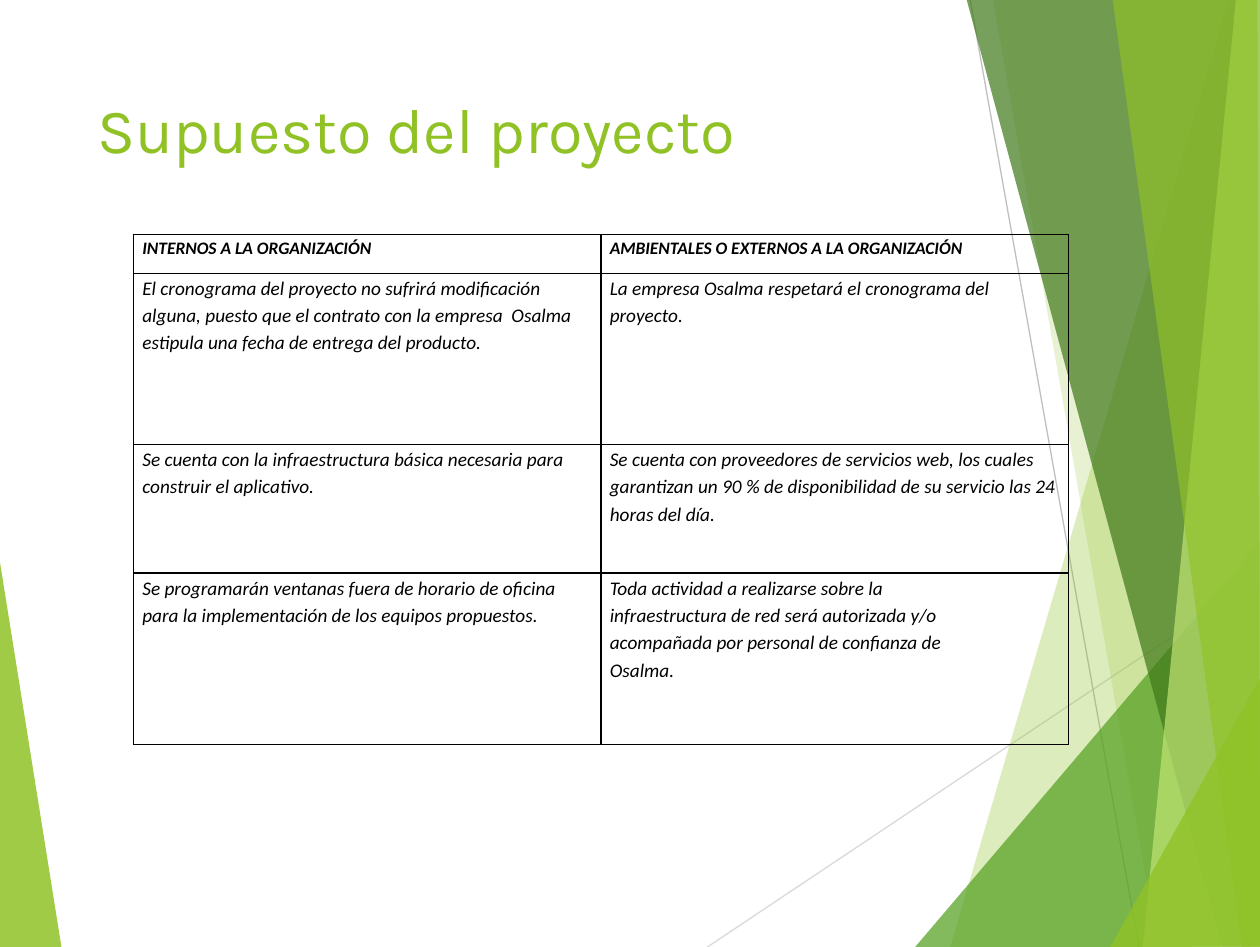
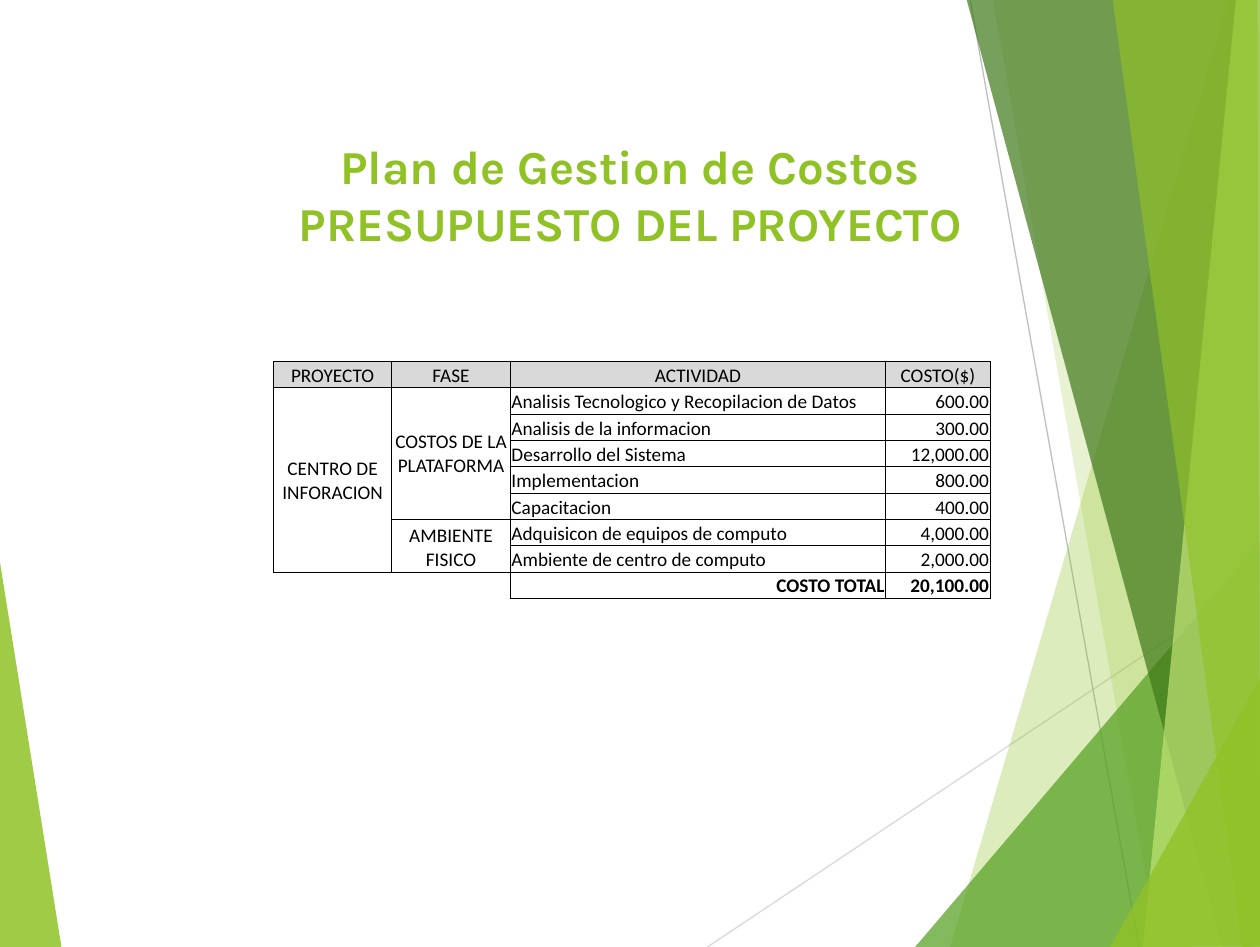
import pptx
import pptx.util
import pptx.oxml
from pptx.dml.color import RGBColor
from pptx.enum.shapes import MSO_CONNECTOR
from pptx.enum.text import MSO_ANCHOR, MSO_AUTO_SIZE, PP_ALIGN
from pptx.oxml.ns import qn
from pptx.util import Inches, Pt
from lxml import etree

LIME = RGBColor(0x90, 0xC2, 0x26)
GREEN = RGBColor(0x54, 0xA0, 0x21)
FOREST = RGBColor(0x3F, 0x78, 0x19)
PALE_LIME = RGBColor(0xC0, 0xE4, 0x74)
GREY = RGBColor(0xD9, 0xD9, 0xD9)
MID_GREY = RGBColor(0xBF, 0xBF, 0xBF)
BLACK = RGBColor(0, 0, 0)
TITLE_FONT, BODY_FONT = "Karla", "Calibri"
SLIDE_WIDTH, SLIDE_HEIGHT = Inches(10), Pt(541.2)
FLOOR = 7.52
LEFT, CENTER, RIGHT = PP_ALIGN.LEFT, PP_ALIGN.CENTER, PP_ALIGN.RIGHT
TOP, MIDDLE, BOTTOM = MSO_ANCHOR.TOP, MSO_ANCHOR.MIDDLE, MSO_ANCHOR.BOTTOM

# Shared decoration: thin lines, then translucent facets (colour, opacity %, corners)
RAYS = [
    (GREY, (5.61, FLOOR), (10.01, 4.58)),
    (MID_GREY, (7.7, 0), (9.04, FLOOR)),
]
FACETS = [
    (LIME, 85, [(-0.01, 4.4), (0.49, 7.53), (-0.01, FLOOR)]),
    (LIME, 30, [(9.75, 0), (7.54, FLOOR), (10.02, 7.53), (10.01, 0.01)]),
    (LIME, 20, [(7.88, -0.01), (9.19, FLOOR), (10.01, FLOOR), (10.01, -0.01)]),
    (GREEN, 72, [(7.26, FLOOR), (10, 4.3), (10.01, FLOOR)]),
    (FOREST, 70, [(7.67, -0.01), (9.7, FLOOR), (10.01, 7.51), (10.01, -0.01)]),
    (PALE_LIME, 70, [(9.81, -0.01), (9.07, FLOOR), (10.01, FLOOR), (10, -0.01)]),
    (LIME, 65, [(8.83, -0.01), (9.86, FLOOR), (10, FLOOR), (9.98, -0.01)]),
    (LIME, 80, [(8.81, FLOOR), (10.01, 5.37), (10.01, 7.51)]),
]

# Slide 1 content
ASSUMPTIONS_TITLE = "Supuesto del proyecto"
ASSUMPTIONS = [
    ("INTERNOS A LA ORGANIZACIÓN", "AMBIENTALES O EXTERNOS A LA ORGANIZACIÓN"),
    ("El cronograma del proyecto no sufrirá modificación alguna, puesto que el "
     "contrato con la empresa  Osalma estipula una fecha de entrega del producto.",
     "La empresa Osalma respetará el cronograma del proyecto."),
    ("Se cuenta con la infraestructura básica necesaria para construir el aplicativo.",
     "Se cuenta con proveedores de servicios web, los cuales garantizan un 90 % de "
     "disponibilidad de su servicio las 24 horas del día."),
    ("Se programarán ventanas fuera de horario de oficina para la implementación de "
     "los equipos propuestos.",
     "Toda actividad a realizarse sobre la\n"
     "infraestructura de red será autorizada y/o\n"
     "acompañada por personal de confianza de\n"
     "Osalma."),
]

# Slide 2 content
BUDGET_TITLE = "Plan de Gestion de Costos\vPRESUPUESTO DEL PROYECTO"
BUDGET_HEADINGS = ["PROYECTO", "FASE", "ACTIVIDAD", "COSTO($)"]
PROJECT = "CENTRO DE INFORACION"
PHASES = [
    ("COSTOS DE LA PLATAFORMA", MIDDLE, [
        ("Analisis Tecnologico y Recopilacion de Datos", 600),
        ("Analisis de la informacion", 300),
        ("Desarrollo del Sistema", 12000),
        ("Implementacion", 800),
        ("Capacitacion", 400),
    ]),
    ("AMBIENTE FISICO", BOTTOM, [
        ("Adquisicon de equipos de computo", 4000),
        ("Ambiente de centro de computo", 2000),
    ]),
]


def write(frame, text, size=11, font=BODY_FONT, color=BLACK, bold=False,
          italic=False, align=LEFT, spacing=1.0):
    """Fill a text frame: \\n starts a paragraph, \\v breaks a line inside one."""
    for index, content in enumerate(text.split("\n")):
        paragraph = frame.add_paragraph() if index else frame.paragraphs[0]
        paragraph.alignment = align
        paragraph.line_spacing = spacing
        for number, line in enumerate(content.split("\v")):
            if number:
                paragraph.add_line_break()
                line_break = paragraph._p.findall(qn("a:br"))[-1]
                etree.SubElement(line_break, qn("a:rPr"), sz=str(size * 100))
            run = paragraph.add_run()
            run.text = line
            run.font.size, run.font.name = Pt(size), font
            run.font.bold, run.font.italic = bold, italic
            run.font.color.rgb = color


def set_title(slide, text, box, **style):
    title = slide.shapes.title
    title.left, title.top, title.width, title.height = map(Inches, box)
    title.text_frame.auto_size = MSO_AUTO_SIZE.NONE
    title.text_frame.word_wrap = True
    title.text_frame.vertical_anchor = TOP
    write(title.text_frame, text, font=TITLE_FONT, color=LIME, **style)


def decorate(layout, slide):
    """Draw the decoration on a slide and move it to the layout, behind its text."""
    drawn = []

    def add_facet(color, opacity, corners):
        points = [(Inches(x), Inches(y)) for x, y in corners]
        builder = slide.shapes.build_freeform(*points[0])
        builder.add_line_segments(points[1:], close=True)
        facet = builder.convert_to_shape()
        facet.shadow.inherit = False
        facet.fill.solid()
        facet.fill.fore_color.rgb = color
        facet.line.fill.background()
        fill_color = next(facet.element.iter(qn("a:srgbClr")))
        etree.SubElement(fill_color, qn("a:alpha"), val=str(opacity * 1000))
        drawn.append(facet)

    add_facet(*FACETS[0])
    for color, start, end in RAYS:
        ray = slide.shapes.add_connector(
            MSO_CONNECTOR.STRAIGHT, *map(Inches, start + end))
        ray.line.color.rgb = color
        ray.line.width = Pt(0.75)
        etree.SubElement(ray.element.spPr, qn("a:effectLst"))
        drawn.append(ray)
    for facet in FACETS[1:]:
        add_facet(*facet)
    for offset, part in enumerate(drawn):
        layout.shapes.element.insert(2 + offset, part.element)


def set_borders(cell, width, sides="LRTB"):
    """Set all four borders of a cell; sides not named get no line."""
    properties = cell._tc.get_or_add_tcPr()
    for position, side in enumerate("LRTB"):
        previous = properties.find(qn(f"a:ln{side}"))
        if previous is not None:
            properties.remove(previous)
        border = etree.Element(qn(f"a:ln{side}"), w=str(Pt(width)))
        if side in sides:
            fill = etree.SubElement(border, qn("a:solidFill"))
            etree.SubElement(fill, qn("a:srgbClr"), val=str(BLACK))
        else:
            etree.SubElement(border, qn("a:noFill"))
        properties.insert(position, border)


def add_grid(slide, left, top, columns, rows, margins, border):
    """Add a plain table with bordered, unfilled cells."""
    grid = slide.shapes.add_table(
        len(rows), len(columns), Inches(left), Inches(top),
        Inches(sum(columns)), Inches(sum(rows))).table
    grid.first_row = grid.horz_banding = False
    for column, width in zip(grid.columns, columns):
        column.width = Inches(width)
    for row, height in zip(grid.rows, rows):
        row.height = Inches(height)
    for cell in grid.iter_cells():
        (cell.margin_left, cell.margin_top,
         cell.margin_right, cell.margin_bottom) = map(Inches, margins)
        cell.fill.background()
        set_borders(cell, border)
        # Empty cells must not stretch their row
        etree.SubElement(cell.text_frame.paragraphs[0]._p,
                         qn("a:endParaRPr"), sz="1100")
    return grid


def build_assumptions(slide):
    set_title(slide, ASSUMPTIONS_TITLE, (0.67, 0.67, 6.94, 1.45), size=36)
    grid = add_grid(slide, 1.06, 1.86, [3.71] * 2, [0.31, 1.36, 1.02, 1.36],
                    (0.07, 0, 0.07, 0), border=1)
    for r, row in enumerate(ASSUMPTIONS):
        for c, text in enumerate(row):
            write(grid.cell(r, c).text_frame, text, size=11 if r else 10,
                  bold=r == 0, italic=True, spacing=1.15)


def build_budget(slide):
    set_title(slide, BUDGET_TITLE, (0.69, 1.04, 8.62, 0.79),
              size=27, bold=True, align=CENTER)
    activities = [item for _, _, items in PHASES for item in items]
    total_row = len(activities) + 1
    row_count = total_row + 1
    grid = add_grid(slide, 2.17, 2.87, [0.94, 0.94, 2.98, 0.83],
                    [1.88 / row_count] * row_count, (0.01, 0.01, 0.01, 0),
                    border=0.5)

    def put(row, column, text, anchor=BOTTOM, **style):
        cell = grid.cell(row, column)
        cell.vertical_anchor = anchor
        write(cell.text_frame, text, **style)
        return cell

    # Headings
    for c, heading in enumerate(BUDGET_HEADINGS):
        cell = put(0, c, heading, align=CENTER)
        cell.fill.solid()
        cell.fill.fore_color.rgb = GREY

    # Project and phases span their activities
    grid.cell(1, 0).merge(grid.cell(total_row - 1, 0))
    put(1, 0, PROJECT, anchor=MIDDLE, align=CENTER)
    row = 1
    for phase, anchor, items in PHASES:
        grid.cell(row, 1).merge(grid.cell(row + len(items) - 1, 1))
        put(row, 1, phase, anchor=anchor, align=CENTER)
        for activity, cost in items:
            put(row, 2, activity)
            put(row, 3, f"{cost:,.2f}", align=RIGHT)
            row += 1

    # Total, with an open corner to its left
    total = sum(cost for _, cost in activities)
    put(total_row, 2, "COSTO TOTAL", bold=True, align=RIGHT)
    put(total_row, 3, f"{total:,.2f}", bold=True, align=RIGHT)
    for c, sides in enumerate(["T", "TR"]):
        set_borders(grid.cell(total_row, c), 0.5, sides)


def main():
    deck = pptx.Presentation()
    deck.slide_width, deck.slide_height = SLIDE_WIDTH, SLIDE_HEIGHT
    layout = deck.slide_layouts[5]
    assumptions = deck.slides.add_slide(layout)
    decorate(layout, assumptions)
    build_assumptions(assumptions)
    build_budget(deck.slides.add_slide(layout))
    deck.save("out.pptx")


if __name__ == "__main__":
    main()
